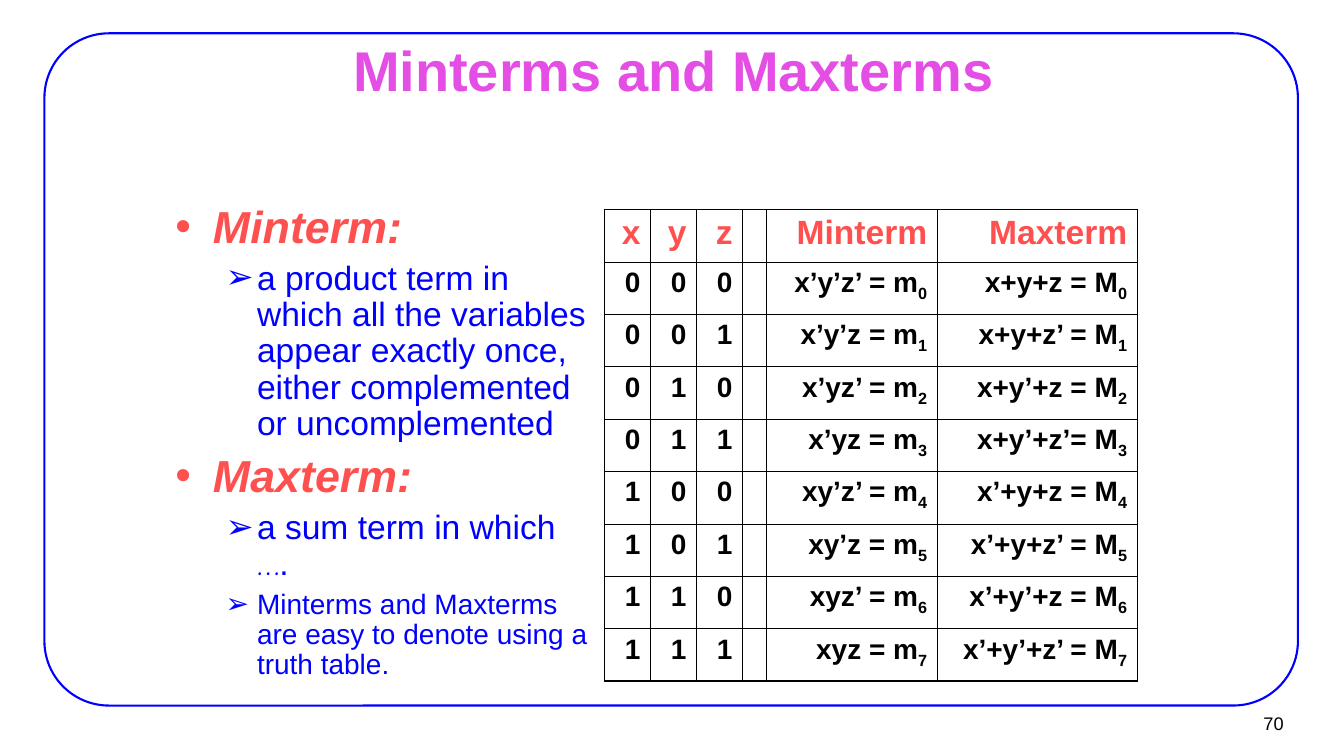
from collections import namedtuple
from dataclasses import dataclass

from lxml.etree import SubElement
from pptx import Presentation
from pptx.dml.color import RGBColor
from pptx.enum.shapes import MSO_SHAPE
from pptx.enum.text import MSO_ANCHOR, MSO_AUTO_SIZE, PP_ALIGN
from pptx.oxml import parse_xml
from pptx.oxml.ns import nsdecls, qn
from pptx.util import Cm, Pt

Box = namedtuple("Box", "x y w h")


@dataclass(frozen=True)
class Theme:
    font: str = "Arial"
    dots_font: str = "Comic Neue"
    pink: str = "E44EE4"
    red: str = "FF5050"
    blue: str = "0000FF"
    black: str = "000000"
    title: int = 40
    term: int = 32
    head: int = 24
    body: int = 20
    number: int = 13
    frame_line: float = 1.5
    outer_line: float = 1.08
    inner_line: float = 0.45


T = Theme()
MINTERMS = ["x’y’z’", "x’y’z", "x’yz’", "x’yz", "xy’z’", "xy’z", "xyz’", "xyz"]
MAXTERMS = ["x+y+z ", "x+y+z’ ", "x+y’+z ", "x+y’+z’",
            "x’+y+z ", "x’+y+z’ ", "x’+y’+z ", "x’+y’+z’ "]


def add_run(p, text, size, color, bold=False, italic=False, font=T.font):
    r = p.add_run()
    r.text = text
    r.font.name = font
    r.font.size = Pt(size)
    r.font.bold = bold
    r.font.italic = italic
    r.font.color.rgb = RGBColor.from_string(color)
    return r


def setup_frame(tf, dx, dy, wrap=True):
    tf.word_wrap = wrap
    tf.auto_size = MSO_AUTO_SIZE.NONE
    tf.margin_left = tf.margin_right = Cm(dx)
    tf.margin_top = tf.margin_bottom = Cm(dy)


def place(box):
    return [Cm(v) for v in box]


def add_frame(s, box):
    sp = s.shapes.add_shape(MSO_SHAPE.ROUNDED_RECTANGLE, *place(box))
    sp.shadow.inherit = False
    sp.adjustments[0] = 0.096
    sp.fill.background()
    sp.line.color.rgb = RGBColor.from_string(T.blue)
    sp.line.width = Pt(T.frame_line)


def add_title(s, box):
    sp = s.shapes.title
    sp.left, sp.top, sp.width, sp.height = place(box)
    tf = sp.text_frame
    setup_frame(tf, 0.28, 0.15)
    tf.vertical_anchor = MSO_ANCHOR.MIDDLE
    p = tf.paragraphs[0]
    p.alignment = PP_ALIGN.CENTER
    add_run(p, "Minterms and Maxterms", T.title, T.pink, bold=True)


def set_bullet(p, char, color, margin, indent):
    pPr = p._p.get_or_add_pPr()
    pPr.set("marL", str(Cm(margin)))
    pPr.set("indent", str(Cm(-indent)))
    clr = SubElement(pPr, qn("a:buClr"))
    SubElement(clr, qn("a:srgbClr")).set("val", color)
    SubElement(pPr, qn("a:buFont")).set("typeface", T.font)
    SubElement(pPr, qn("a:buChar")).set("char", char)


def add_definitions(s, box):
    tf = s.shapes.add_textbox(*place(box)).text_frame
    setup_frame(tf, 0.28, 0.15)
    count = 0

    def add_item(size, runs, before, is_term=False):
        nonlocal count
        p = tf.add_paragraph() if count else tf.paragraphs[0]
        color = T.red if is_term else T.blue
        if is_term:
            set_bullet(p, "•", color, 0.95, 0.95)
        else:
            p.level = 1
            set_bullet(p, "➢", color, 2.06, 0.79)
        p.line_spacing = 0.9
        p.space_before = Pt(before if count else 0)
        for text, font in runs:
            add_run(p, text, size, color, is_term, is_term, font)
        count += 1

    add_item(T.term, [("Minterm:", T.font)], 8, True)
    add_item(T.head, [("a product term in which all the variables appear exactly once, "
                       "either complemented or uncomplemented", T.font)], 6)
    add_item(T.term, [("Maxterm:", T.font)], 8, True)
    add_item(T.head, [("a sum term in which ", T.font), ("…", T.dots_font), (".", T.font)], 6)
    add_item(T.body, [("Minterms and Maxterms are easy to denote using a truth table.",
                       T.font)], 5)


def set_borders(cell, outer_sides):
    tcPr = cell._tc.get_or_add_tcPr()
    for i, side in enumerate("LRTB"):
        width = T.outer_line if side in outer_sides else T.inner_line
        tcPr.insert(i, parse_xml(
            f'<a:ln{side} {nsdecls("a")} w="{Pt(width)}"><a:solidFill>'
            f'<a:srgbClr val="{T.black}"/></a:solidFill></a:ln{side}>'))


def add_truth_table(s, box):
    rows = [["x", "y", "z", "", "Minterm", "Maxterm"]]
    for n, (low, high) in enumerate(zip(MINTERMS, MAXTERMS)):
        rows.append([*f"{n:03b}", "", f"{low} = m", f"{high}= M"])
    widths = [1.16, 1.16, 1.16, 0.6, 4.3, 5.04]
    last_row, last_col = len(rows) - 1, len(widths) - 1
    tbl = s.shapes.add_table(len(rows), len(widths), *place(box)).table
    tbl.first_row = tbl.horz_banding = False
    for col, width in zip(tbl.columns, widths):
        col.width = Cm(width)
    for i, row in enumerate(rows):
        tbl.rows[i].height = Cm(box.h / len(rows))
        for j, text in enumerate(row):
            cell = tbl.cell(i, j)
            cell.fill.background()
            edges = {"L": j == 0, "R": j == last_col, "T": i == 0, "B": i == last_row}
            set_borders(cell, [side for side, outer in edges.items() if outer])
            if not text:
                continue
            p = cell.text_frame.paragraphs[0]
            p.alignment = PP_ALIGN.RIGHT
            size, color = (T.body, T.black) if i else (T.head, T.red)
            add_run(p, text, size, color, bold=True)
            if i and j > 3:
                r = add_run(p, str(i - 1), size, color, bold=True)
                r._r.get_or_add_rPr().set("baseline", "-25000")


def add_slide_number(s, box):
    tf = s.shapes.add_textbox(*place(box)).text_frame
    setup_frame(tf, 0.23, 0.1, wrap=False)
    tf.vertical_anchor = MSO_ANCHOR.MIDDLE
    p = tf.paragraphs[0]
    p.alignment = PP_ALIGN.RIGHT
    add_run(p, "70", T.number, T.black)


def main():
    prs = Presentation()
    prs.slide_width, prs.slide_height = Cm(33.88), Cm(19.05)
    s = prs.slides.add_slide(prs.slide_layouts[5])
    add_frame(s, Box(1.12, 0.84, 31.6, 16.94))
    add_slide_number(s, Box(30.53, 17.75, 2.06, 0.94))
    add_title(s, Box(2.57, 1.12, 28.8, 1.24))
    add_definitions(s, Box(4.14, 5, 10.97, 12.57))
    add_truth_table(s, Box(15.24, 5.28, 13.42, 11.88))
    prs.save("out.pptx")


if __name__ == "__main__":
    main()
